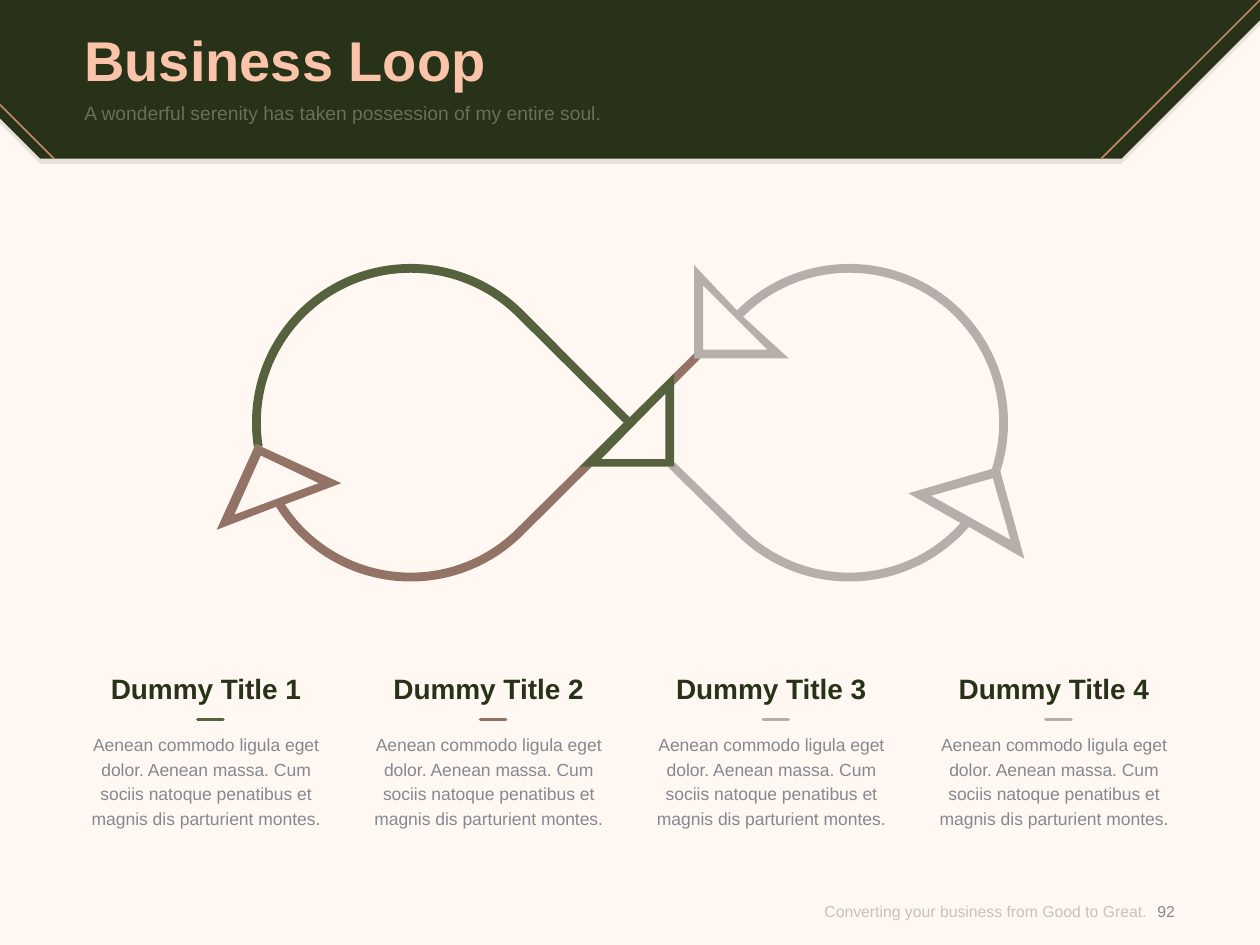
from copy import deepcopy
from dataclasses import dataclass
from math import ceil, cos, floor, radians, sin, tan

from lxml.etree import SubElement
from pptx import Presentation
from pptx.dml.color import RGBColor
from pptx.enum.shapes import MSO_CONNECTOR as CONN
from pptx.enum.text import MSO_ANCHOR as ANCHOR, PP_ALIGN as ALIGN
from pptx.oxml.ns import qn
from pptx.util import Inches, Pt


@dataclass(frozen=True)
class Theme:
    font: str = "Arial"
    background: str = "FFF7F2"
    dark: str = "283218"
    peach: str = "FBC4AA"
    copper: str = "B98763"
    white: str = "FFFFFF"
    green: str = "56613D"
    brown: str = "927365"
    grey: str = "B6AEAB"
    body: str = "85898F"
    footer: str = "8C8C8C"
    title_size: int = 32
    heading_size: int = 16
    subtitle_size: int = 11
    body_size: int = 10
    footer_size: int = 9


T = Theme()


def set_color(fill, color, alpha=None):
    fill.solid()
    fill.fore_color.rgb = RGBColor.from_string(color)
    if alpha is not None:
        clr = next(fill._xPr.iter(qn("a:srgbClr")))
        SubElement(clr, qn("a:alpha"), val=str(alpha * 1000))


def add_text(s, box, text, size, color, alpha=None, bold=False,
             align=ALIGN.LEFT, anchor=ANCHOR.TOP, spacing=None):
    tf = s.shapes.add_textbox(*map(Inches, box)).text_frame
    tf.word_wrap = True
    tf.vertical_anchor = anchor
    tf.margin_left = tf.margin_right = tf.margin_top = tf.margin_bottom = 0
    p = tf.paragraphs[0]
    p.alignment = align
    if spacing:
        p.line_spacing = Pt(spacing)
    r = p.add_run()
    r.text = text
    font = r.font
    font.name, font.size, font.bold = T.font, Pt(size), bold
    set_color(font.fill, color, alpha)


def add_line(s, start, end, color, width, cap="flat"):
    line = s.shapes.add_connector(CONN.STRAIGHT, *map(Inches, start + end))
    line.line.width = Pt(width)
    set_color(line.line.fill, color)
    line.line._get_or_add_ln().set("cap", cap)
    SubElement(line._element.spPr, qn("a:effectLst"))


def add_outline(s, origin, outline, color, hole=(), alpha=None):
    """Filled shape; an outline item is a point or a Curve of three points."""
    def place(points):
        return [(Inches(origin[0] + x), Inches(origin[1] + y)) for x, y in points]

    steps = [item if isinstance(item, Curve) else [item] for item in outline]
    start, *rest = place([point for step in steps for point in step])
    builder = s.shapes.build_freeform(*start, scale=1.0)
    builder.add_line_segments(rest)
    if hole:
        first, *others = place(hole)
        builder.move_to(*first)
        builder.add_line_segments(others)
    sp = builder.convert_to_shape()
    sp.shadow.inherit = False
    set_color(sp.fill, color, alpha)
    sp.line.fill.background()

    # Join the three segments of each curve into one Bézier segment
    segments = iter(list(sp._element.iter(qn("a:lnTo"))))
    for step in steps[1:]:
        group = [next(segments) for _ in step]
        if isinstance(step, Curve):
            bezier = group[0].makeelement(qn("a:cubicBezTo"))
            bezier.extend(deepcopy(segment[0]) for segment in group)
            group[0].addprevious(bezier)
            for segment in group:
                segment.getparent().remove(segment)


class Curve(list):
    """Two control points and an end point."""


def arc(center_x, radius, start, end):
    """Start point and curves of a circular arc, cut at each quarter turn."""
    low, high = sorted((start, end))
    quarters = [90 * q for q in range(floor(low / 90) + 1, ceil(high / 90))]
    stops = sorted([low, *quarters, high], reverse=start > end)

    def point(angle, handle=0):
        a = radians(angle)
        return (center_x + radius * (cos(a) - handle * sin(a)),
                radius * (sin(a) + handle * cos(a)))

    items = [point(start)]
    for a, b in zip(stops, stops[1:]):
        handle = 4 / 3 * tan(radians(b - a) / 4)
        items.append(Curve([point(a, handle), point(b, -handle), point(b)]))
    return items


def header(s, box):
    x, y, w, h = box
    banner = [(0, 0), (w, 0), (w, 0.16), (w - 1.1, h), (0.32, h), (0, h - 0.32)]
    add_outline(s, (x, y + 0.04), banner, T.dark, alpha=10)
    add_outline(s, (x, y), banner, T.dark)
    # Corner accents run at 45 degrees
    add_line(s, (x + w, y), (x + w - h, y + h), T.copper, 1)
    add_line(s, (x, y + h - 0.43), (x + 0.43, y + h), T.copper, 1)
    add_text(s, (x + 0.67, y + 0.14, w - 1.34, 0.65), "Business Loop",
             T.title_size, T.peach, bold=True, anchor=ANCHOR.MIDDLE)
    add_text(s, (x + 0.67, y + 0.8, w - 1.34, 0.39),
             "A wonderful serenity has taken possession of my entire soul.",
             T.subtitle_size, T.white, alpha=30)


def loop(s, box):
    """Infinity loop; points are measured from the crossing at the box centre."""
    x, y, w, h = box
    center = (x + w / 2, y + h / 2)
    left, right = -1.74, 1.74
    outer, inner = 1.26, 1.19
    parts = [
        # Lower right: crossing to right arrow
        (T.grey,
         [(2.93, 0.35), (2.21, 0.56), (2.63, 0.8), *arc(right, inner, 42, 135),
          (0.35, 0.31), (0.35, 0.35), (0.3, 0.35),
          *arc(right, outer, 135, 41), (3.13, 1.08)],
         [(2.39, 0.58), (2.88, 0.44), (3.02, 0.93)]),
        # Upper right: right side to top arrow
        (T.grey,
         [*arc(right, outer, 18, -135), (0.51, -1.25), (0.51, -0.51),
          (1.26, -0.51), *arc(right, inner, -135, 18), (2.93, 0.35)],
         [(1.09, -0.58), (0.58, -0.58), (0.58, -1.09)]),
        # Lower left: top arrow to left arrow
        (T.brown,
         [(0.51, -0.51), (0.51, -0.55), *arc(left, inner, 45, 147),
          (-2.29, 0.48), (-2.97, 0.17), (-3.28, 0.85),
          *arc(left, outer, 148, 45), (0.56, -0.51)],
         [(-3.14, 0.73), (-2.93, 0.26), (-2.47, 0.48)]),
        # Upper left: left arrow to crossing arrow
        (T.green,
         [(0, -0.04), *arc(left, outer, -45, -189), (-2.97, 0.17), (-2.92, 0.19),
          *arc(left, inner, -189, -45), (-0.05, 0), (-0.4, 0.35),
          (0.35, 0.35), (0.35, -0.39)],
         [(0.28, 0.29), (-0.23, 0.29), (0.28, -0.23)]),
    ]
    for color, outline, arrow_hole in parts:
        add_outline(s, center, outline, color, arrow_hole)


def caption(s, box, title, color):
    x, y, w, h = box
    add_text(s, (x, y + 0.47, w, h - 0.47),
             "Aenean commodo ligula eget dolor. Aenean massa. Cum sociis "
             "natoque penatibus et magnis dis parturient montes.",
             T.body_size, T.body, align=ALIGN.CENTER, spacing=14)
    add_line(s, (x + 0.9, y + 0.38), (x + 1.1, y + 0.38), color, 2, "rnd")
    add_text(s, (x, y, w, 0.27), title, T.heading_size, T.dark,
             bold=True, align=ALIGN.CENTER)


def captions(s, box):
    x, y, w, h = box
    colors = [T.green, T.brown, T.grey, T.grey]
    width = 1.93
    pitch = (w - width) / (len(colors) - 1)
    for i, color in enumerate(colors):
        caption(s, (x + i * pitch, y, width, h), f"Dummy Title {i + 1}", color)


def footer(s, box):
    x, y, w, h = box
    add_text(s, (x, y, 3.06, h), "Converting your business from Good to Great.",
             T.footer_size, T.footer, alpha=50, align=ALIGN.RIGHT, anchor=ANCHOR.MIDDLE)
    add_text(s, (x + w - 0.47, y, 0.47, h), "92", T.footer_size, T.body,
             align=ALIGN.CENTER, anchor=ANCHOR.MIDDLE)


def main():
    prs = Presentation()
    prs.slide_width, prs.slide_height = Inches(10), Inches(7.5)
    s = prs.slides.add_slide(prs.slide_layouts[6])
    set_color(s.background.fill, T.background)
    header(s, (0, 0, 10, 1.26))
    footer(s, (6.04, 6.96, 3.45, 0.54))
    captions(s, (0.67, 5.33, 8.66, 1.26))
    loop(s, (1.5, 2.05, 7, 2.61))
    prs.save("out.pptx")


if __name__ == "__main__":
    main()
